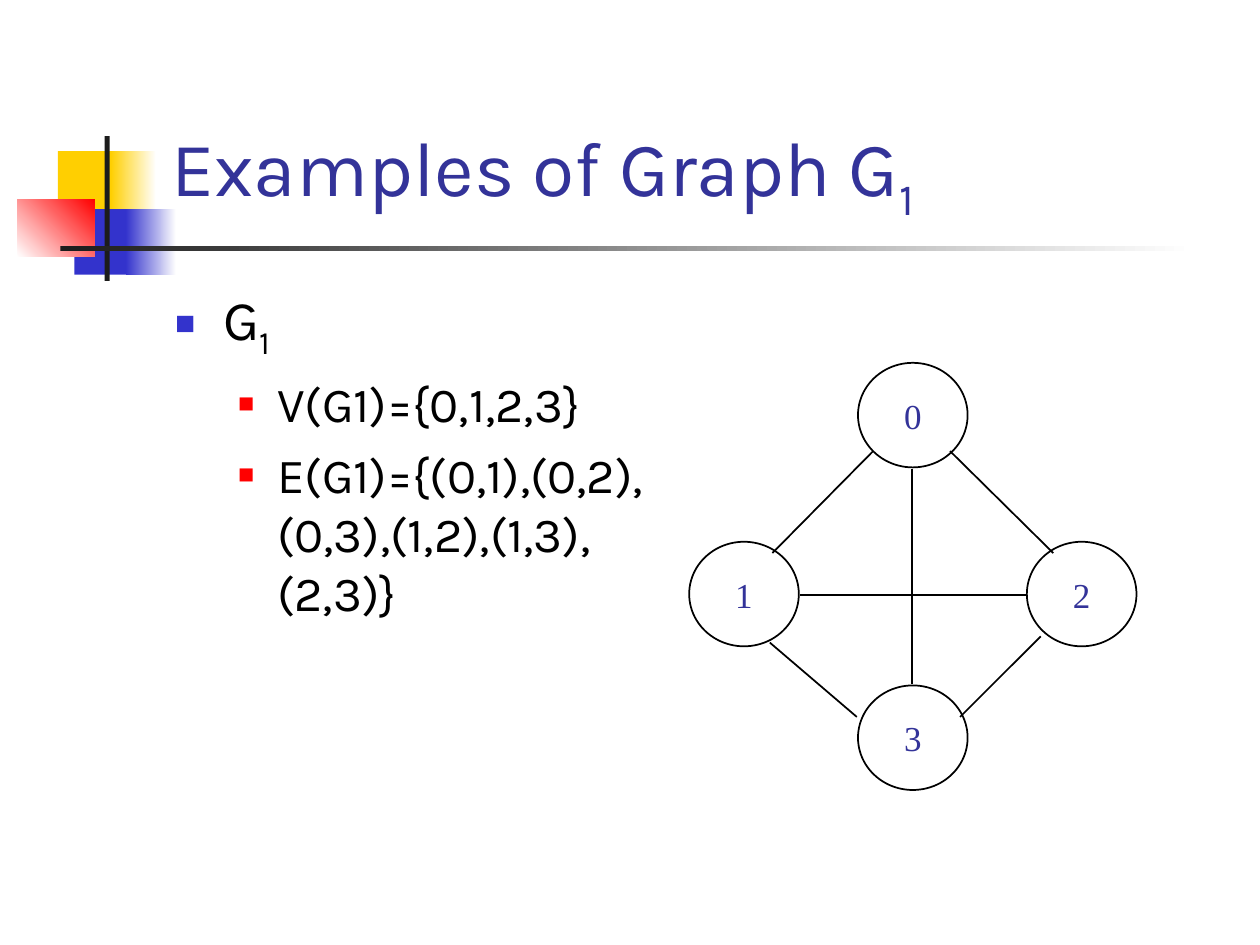
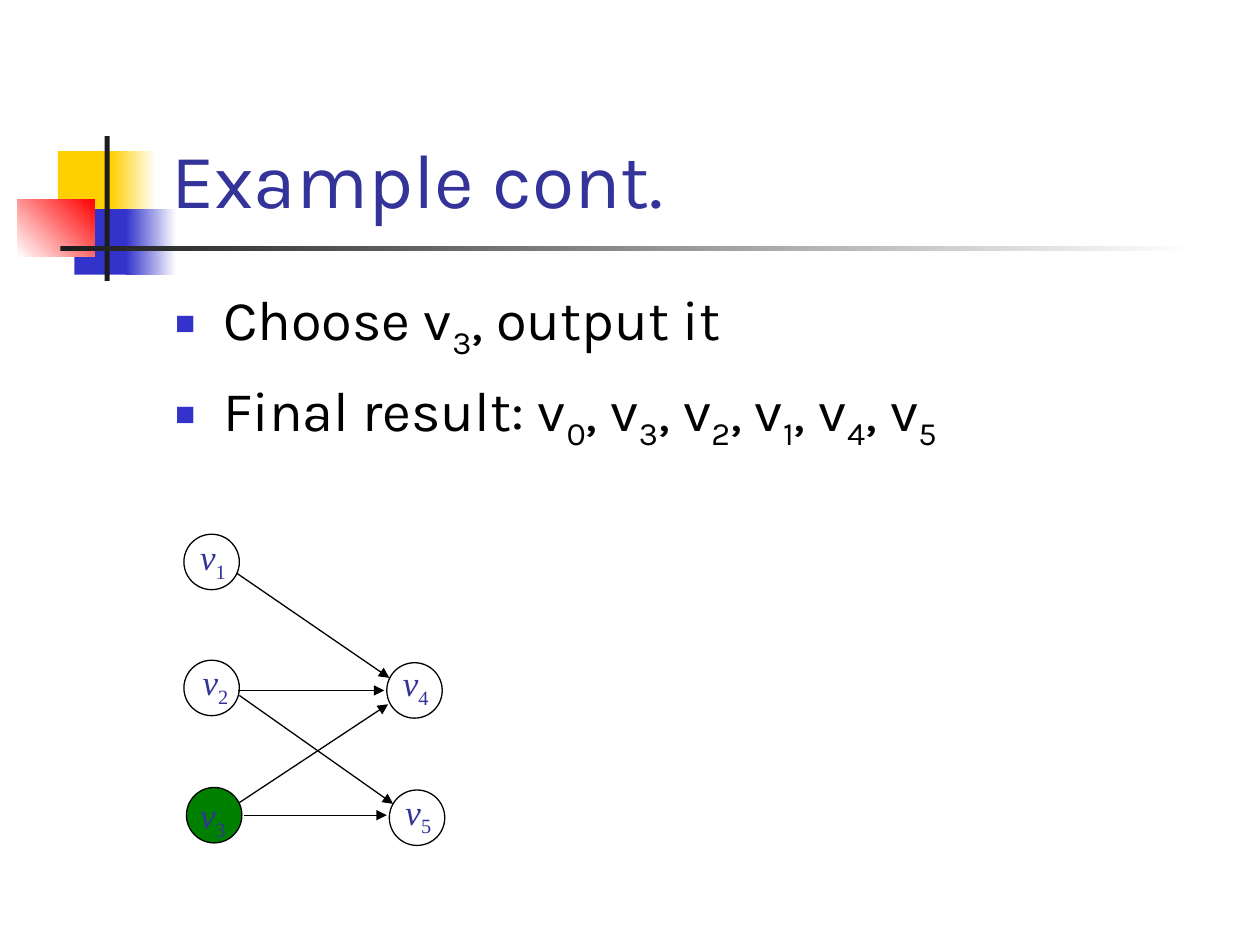
from dataclasses import dataclass

from lxml.etree import SubElement
from pptx import Presentation
from pptx.dml.color import RGBColor
from pptx.enum.shapes import MSO_CONNECTOR, MSO_SHAPE
from pptx.enum.text import MSO_ANCHOR, MSO_AUTO_SIZE, PP_ALIGN
from pptx.oxml.ns import qn
from pptx.util import Inches, Pt


@dataclass(frozen=True)
class Theme:
    yellow: str = "FFCF01"
    blue: str = "3333CC"
    red: str = "FF0000"
    dark: str = "1C1C1C"
    white: str = "FFFFFF"
    black: str = "000000"
    navy: str = "333399"
    green: str = "008000"
    sans: str = "Karla"
    serif: str = "Times New Roman"
    title: int = 44
    sizes: tuple = (32, 28)
    label: int = 20


THEME = Theme()
# Per list level: indent, hanging, space before, bullet colour, bullet percent
LEVELS = (
    (0.38, 0.38, 8, THEME.blue, 60),
    (0.81, 0.31, 7, THEME.red, 55),
)


def color(code):
    return RGBColor.from_string(code)


def box(left, top, width, height):
    return [Inches(value) for value in (left, top, width, height)]


def place(shape, area):
    shape.left, shape.top, shape.width, shape.height = box(*area)


# Text: "_" makes the next character a subscript
def write(para, text, font, size, tint, slant=False):
    first, *rest = text.split("_")
    pieces = [(first, False)]
    for part in rest:
        pieces += [(part[0], True), (part[1:], False)]
    for piece, sub in pieces:
        if not piece:
            continue
        run = para.add_run()
        run.text = piece
        run.font.name, run.font.size = font, Pt(size)
        run.font.color.rgb = color(tint)
        if sub:
            run.font._element.set("baseline", "-25000")
        elif slant:
            run.font.italic = True


def label(frame, text, slant=False):
    frame.word_wrap = False
    frame.vertical_anchor = MSO_ANCHOR.MIDDLE
    para = frame.paragraphs[0]
    para.alignment = PP_ALIGN.CENTER
    write(para, text, THEME.serif, THEME.label, THEME.navy, slant)


def bullet(para, level):
    indent, hang, _, tint, scale = LEVELS[level]
    props = para._p.get_or_add_pPr()
    props.set("marL", str(Inches(indent)))
    props.set("indent", str(-Inches(hang)))
    fill = SubElement(props, qn("a:buClr"))
    SubElement(fill, qn("a:srgbClr"), val=tint)
    SubElement(props, qn("a:buSzPct"), val=str(scale * 1000))
    SubElement(props, qn("a:buChar"), char="■")


# Placeholders
def head(slide, text):
    title = slide.shapes.title
    place(title, (1.26, 0.23, 8.52, 1.6))
    frame = title.text_frame
    frame.auto_size = MSO_AUTO_SIZE.NONE
    frame.vertical_anchor = MSO_ANCHOR.BOTTOM
    para = frame.paragraphs[0]
    para.alignment = PP_ALIGN.LEFT
    write(para, text, THEME.sans, THEME.title, THEME.navy)


def body(slide, width, items):
    holder = slide.placeholders[1]
    place(holder, (1.29, 2.21, width, 4.5))
    frame = holder.text_frame
    frame.auto_size = MSO_AUTO_SIZE.NONE
    for index, (level, text) in enumerate(items):
        para = frame.add_paragraph() if index else frame.paragraphs[0]
        para.level = level
        bullet(para, level)
        para.space_before = Pt(LEVELS[level][2] if index else 0)
        write(para, text, THEME.sans, THEME.sizes[level], THEME.black)


# Shapes
def band(slide, area, start, end=None, angle=0):
    shape = slide.shapes.add_shape(MSO_SHAPE.RECTANGLE, *box(*area))
    shape.shadow.inherit = False
    shape.line.fill.background()
    if end:
        shape.fill.gradient()
        shape.fill.gradient_angle = angle
        for stop, tint in zip(shape.fill.gradient_stops, (start, end)):
            stop.color.rgb = color(tint)
    else:
        shape.fill.solid()
        shape.fill.fore_color.rgb = color(start)
    return shape


def node(slide, area, weight, fill=None):
    oval = slide.shapes.add_shape(MSO_SHAPE.OVAL, *box(*area))
    oval.shadow.inherit = False
    if fill:
        oval.fill.solid()
        oval.fill.fore_color.rgb = color(fill)
    else:
        oval.fill.background()
    oval.line.color.rgb = color(THEME.black)
    oval.line.width = Pt(weight)
    return oval


def edge(slide, ends, weight, arrow=False):
    line = slide.shapes.add_connector(MSO_CONNECTOR.STRAIGHT, *box(*ends))
    line.line.color.rgb = color(THEME.black)
    line.line.width = Pt(weight)
    if arrow:
        SubElement(line.line._get_or_add_ln(), qn("a:tailEnd"), type="triangle")
    SubElement(line._element.spPr, qn("a:effectLst"))


# Shared decoration, drawn once and moved behind the layout's placeholders
def adorn(slide):
    tree = slide.slide_layout.shapes._spTree
    for holder in list(slide.slide_layout.placeholders):
        if holder.placeholder_format.idx > 1:
            tree.remove(holder._element)
    parts = (
        ((0.46, 1.2, 0.48, 0.52), THEME.yellow),
        ((0.88, 1.2, 0.36, 0.52), THEME.yellow, THEME.white),
        ((0.59, 1.66, 0.46, 0.52), THEME.blue),
        ((1, 1.66, 0.4, 0.52), THEME.blue, THEME.white),
        ((0.14, 1.58, 0.61, 0.46), THEME.white, THEME.red, 45),
        ((0.83, 1.08, 0.04, 1.15), THEME.dark),
        ((0.48, 1.95, 9, 0.04), THEME.dark, THEME.white),
    )
    shapes = [band(slide, *part) for part in parts]
    for index, shape in enumerate(shapes, 2):
        tree.insert(index, shape._element)


# Slide 1: complete graph on four vertices
def graph(slide):
    head(slide, "Examples of Graph G_1")
    body(slide, 4.41, (
        (0, "G_1"),
        (1, "V(G1)={0,1,2,3}"),
        (1, "E(G1)={(0,1),(0,2), (0,3),(1,2),(1,3), (2,3)}"),
    ))
    spots = ((6.81, 2.88), (5.47, 4.3), (8.15, 4.3), (6.81, 5.44))
    for index, spot in enumerate(spots):
        oval = node(slide, (*spot, 0.87, 0.83), 1, THEME.white)
        label(oval.text_frame, str(index))
    for ends in (
        (7.24, 3.72, 7.24, 5.43), (6.35, 4.72, 8.14, 4.72),
        (6.93, 3.58, 6.13, 4.39), (7.54, 3.58, 8.36, 4.39),
        (6.11, 5.1, 6.8, 5.69), (8.26, 5.05, 7.62, 5.69),
    ):
        edge(slide, ends, 1)


# Slide 2: remaining vertices of the ordering
def order(slide):
    head(slide, "Example cont.")
    body(slide, 8.5, (
        (0, "Choose v_3, output it"),
        (0, "Final result: v_0, v_3, v_2, v_1, v_4, v_5"),
    ))
    # Circle corner, then label corner; labels are wide enough for one line
    spots = (
        (1.46, 4.24, 1.44, 4.2), (1.46, 5.24, 1.46, 5.19),
        (1.48, 6.25, 1.44, 6.25), (3.07, 5.26, 3.05, 5.2),
        (3.09, 6.27, 3.07, 6.22),
    )
    for index, (left, top, x, y) in enumerate(spots, 1):
        fill = THEME.green if index == 3 else None
        node(slide, (left, top, 0.44, 0.44), 0.75, fill)
        text = slide.shapes.add_textbox(*box(x, y, 0.5, 0.48))
        label(text.text_frame, f"v_{index}", slant=True)
    for ends in (
        (1.88, 4.55, 3.09, 5.38), (1.89, 5.48, 3.05, 5.48),
        (1.94, 6.47, 3.07, 6.47), (1.9, 5.52, 3.12, 6.38),
        (1.9, 6.37, 3.08, 5.59),
    ):
        edge(slide, ends, 0.75, arrow=True)


def main():
    deck = Presentation()
    deck.slide_width, deck.slide_height = Inches(10), Inches(7.5)
    first, second = [deck.slides.add_slide(deck.slide_layouts[1]) for _ in range(2)]
    adorn(first)
    graph(first)
    order(second)
    deck.save("out.pptx")


if __name__ == "__main__":
    main()
